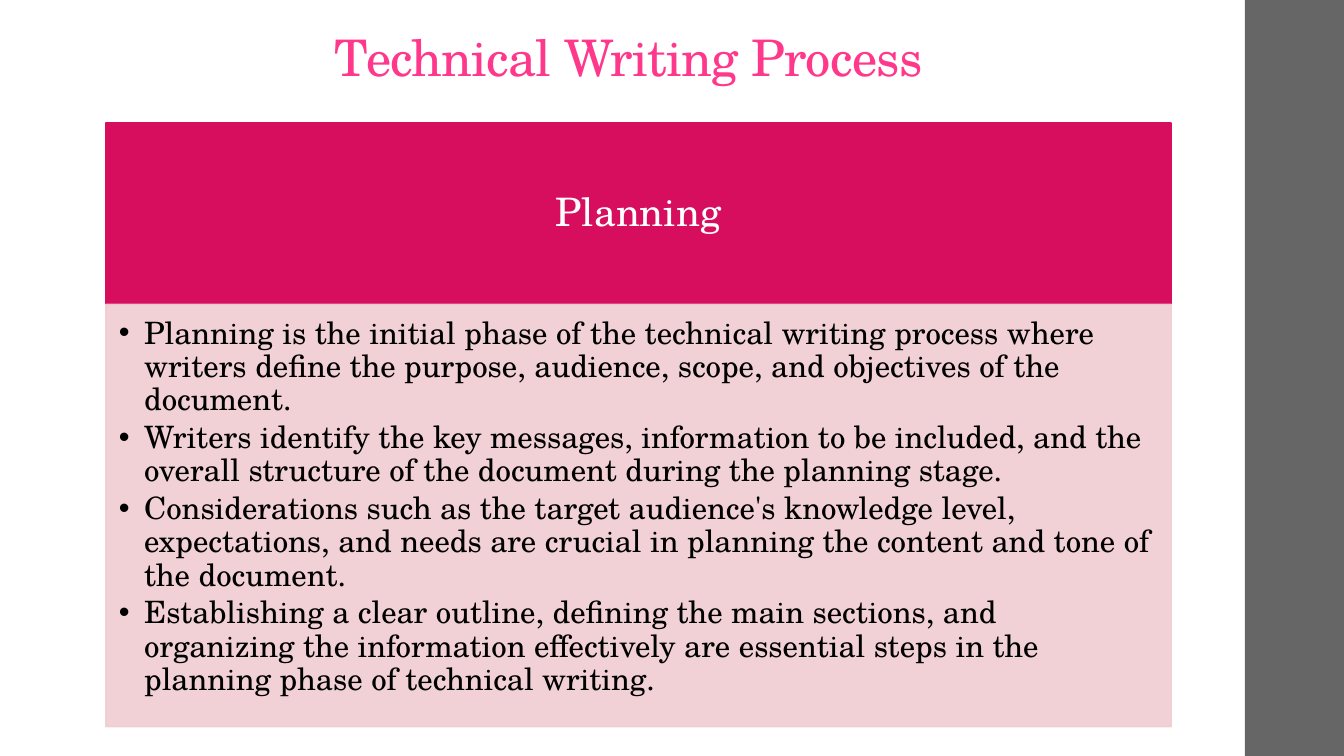
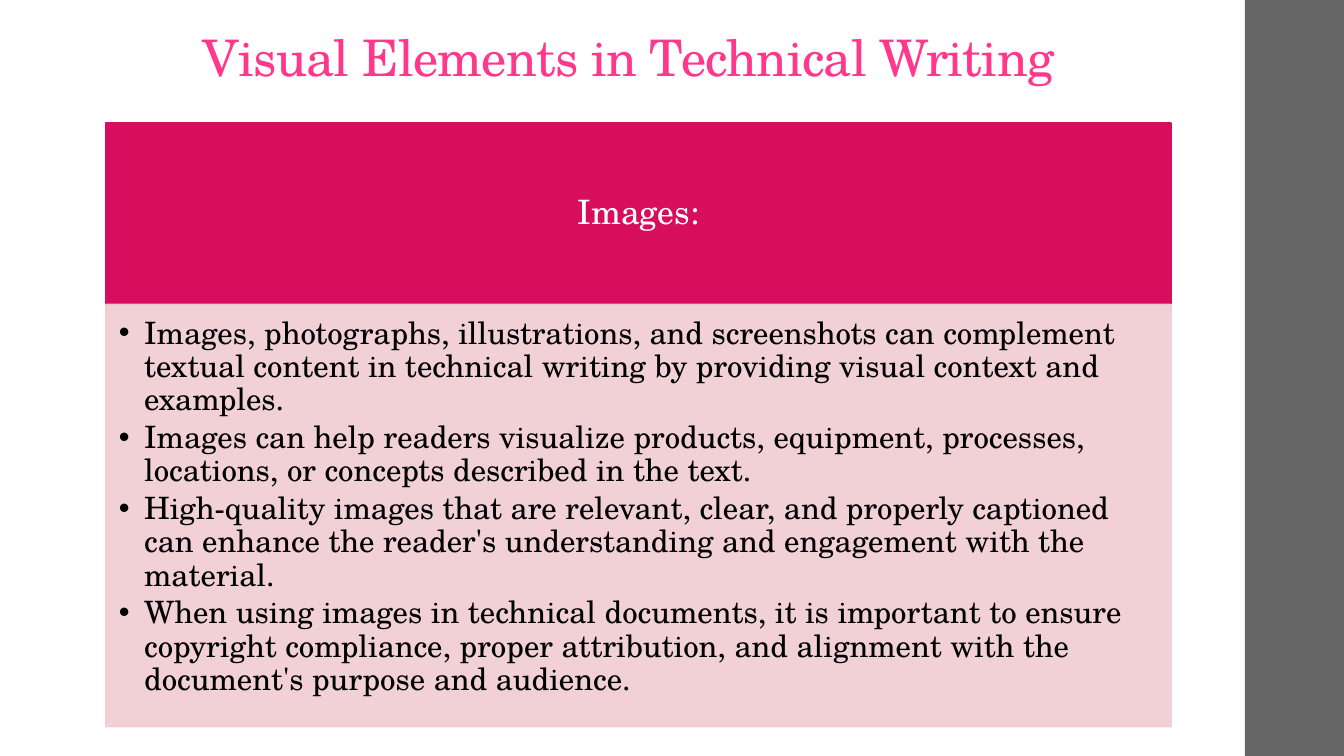
from lxml import etree
from pptx import Presentation
from pptx.dml.color import RGBColor
from pptx.enum import shapes, text
from pptx.oxml import ns
from pptx.util import Pt

FONT = "TeX Gyre Schola"
COLORS = {
    "title": "FF388C",
    "header": "D70D5E",
    "panel": "F0CCD2",
    "side": "666666",
    "light": "FFFFFF",
    "dark": "000000",
}
PAGE_WIDTH, PAGE_HEIGHT = 960, 540
SIDE_LEFT = 889.2
CARD_LEFT, CARD_TOP, CARD_WIDTH = 75.6, 87.8, 761
HEADER_HEIGHT, PANEL_HEIGHT = 129.6, 301.7
PANEL_OPACITY = 90
BULLET_INDENT = 18

SLIDES = [
    {
        "title": "Technical Writing Process",
        "header": "Planning",
        "header_size": 28,
        "points": [
            "Planning is the initial phase of the technical writing process where writers define "
            "the purpose, audience, scope, and objectives of the document.",
            "Writers identify the key messages, information to be included, and the overall "
            "structure of the document during the planning stage.",
            "Considerations such as the target audience's knowledge level, expectations, and needs "
            "are crucial in planning the content and tone of the document.",
            "Establishing a clear outline, defining the main sections, and organizing the "
            "information effectively are essential steps in the planning phase of technical writing.",
        ],
    },
    {
        "title": "Visual Elements in Technical Writing",
        "header": "Images:",
        "header_size": 24,
        "points": [
            "Images, photographs, illustrations, and screenshots can complement textual content in "
            "technical writing by providing visual context and examples.",
            "Images can help readers visualize products, equipment, processes, locations, or "
            "concepts described in the text.",
            "High-quality images that are relevant, clear, and properly captioned can enhance the "
            "reader's understanding and engagement with the material.",
            "When using images in technical documents, it is important to ensure copyright "
            "compliance, proper attribution, and alignment with the document's purpose and audience.",
        ],
    },
]


def color(name):
    return RGBColor.from_string(COLORS[name])


def add_rectangle(page, left, top, width, height, fill, outlined=True):
    box = page.shapes.add_shape(
        shapes.MSO_SHAPE.RECTANGLE, Pt(left), Pt(top), Pt(width), Pt(height))
    box.shadow.inherit = False
    box.fill.solid()
    box.fill.fore_color.rgb = color(fill)
    if outlined:
        box.line.color.rgb = color(fill)
        box.line.width = Pt(1.1)
    else:
        box.line.fill.background()
    return box


def set_opacity(box, percent):
    """Apply the opacity to the fill and the outline alike."""
    for paint in box._element.spPr.iter(ns.qn("a:srgbClr")):
        etree.SubElement(paint, ns.qn("a:alpha"), val=str(percent * 1000))


def set_frame(box, anchor, insets):
    """Wrap the text; insets are left, top, right, bottom."""
    frame = box.text_frame
    frame.word_wrap = True
    frame.vertical_anchor = anchor
    frame.margin_left, frame.margin_top, frame.margin_right, frame.margin_bottom = map(Pt, insets)
    return frame


def style_paragraph(paragraph, size, font_color, align, space_after=0):
    paragraph.alignment = align
    paragraph.line_spacing = 0.9
    paragraph.space_after = Pt(space_after)
    paragraph.font.name = FONT
    paragraph.font.size = Pt(size)
    paragraph.font.color.rgb = color(font_color)


def add_bullet(paragraph):
    properties = paragraph._p.get_or_add_pPr()
    properties.set("marL", str(Pt(BULLET_INDENT)))
    properties.set("indent", str(-Pt(BULLET_INDENT)))
    etree.SubElement(properties, ns.qn("a:buFont"), typeface="Arial")
    etree.SubElement(properties, ns.qn("a:buChar"), char="•")


def add_title(page, title):
    box = page.shapes.add_textbox(Pt(68.4), Pt(20.2), Pt(CARD_WIDTH), Pt(46))
    frame = set_frame(box, text.MSO_ANCHOR.BOTTOM, (7.2, 2.2, 7.2, 3.6))
    paragraph = frame.paragraphs[0]
    span = paragraph.add_run()
    span.text = title
    span._r.get_or_add_rPr().set("spc", "-50")
    style_paragraph(paragraph, 36, "title", text.PP_ALIGN.CENTER)


def add_header(page, label, size):
    box = add_rectangle(page, CARD_LEFT, CARD_TOP, CARD_WIDTH, HEADER_HEIGHT, "header")
    frame = set_frame(box, text.MSO_ANCHOR.MIDDLE, (14, 8, 14, 8))
    frame.text = label
    style_paragraph(frame.paragraphs[0], size, "light", text.PP_ALIGN.CENTER)


def add_panel(page, points):
    box = add_rectangle(
        page, CARD_LEFT, CARD_TOP + HEADER_HEIGHT, CARD_WIDTH, PANEL_HEIGHT, "panel")
    set_opacity(box, PANEL_OPACITY)
    frame = set_frame(box, text.MSO_ANCHOR.TOP, (9.4, 9.4, 12, 14))
    frame.text = "\n".join(points)
    for paragraph in frame.paragraphs:
        add_bullet(paragraph)
        style_paragraph(paragraph, 22, "dark", text.PP_ALIGN.LEFT, space_after=3.3)


def add_page(deck, content):
    page = deck.slides.add_slide(deck.slide_layouts[6])
    add_rectangle(
        page, SIDE_LEFT, 0, PAGE_WIDTH - SIDE_LEFT, PAGE_HEIGHT, "side", outlined=False)
    add_title(page, content["title"])
    add_header(page, content["header"], content["header_size"])
    add_panel(page, content["points"])


def main():
    deck = Presentation()
    deck.slide_width, deck.slide_height = Pt(PAGE_WIDTH), Pt(PAGE_HEIGHT)
    for content in SLIDES:
        add_page(deck, content)
    deck.save("out.pptx")


if __name__ == "__main__":
    main()
